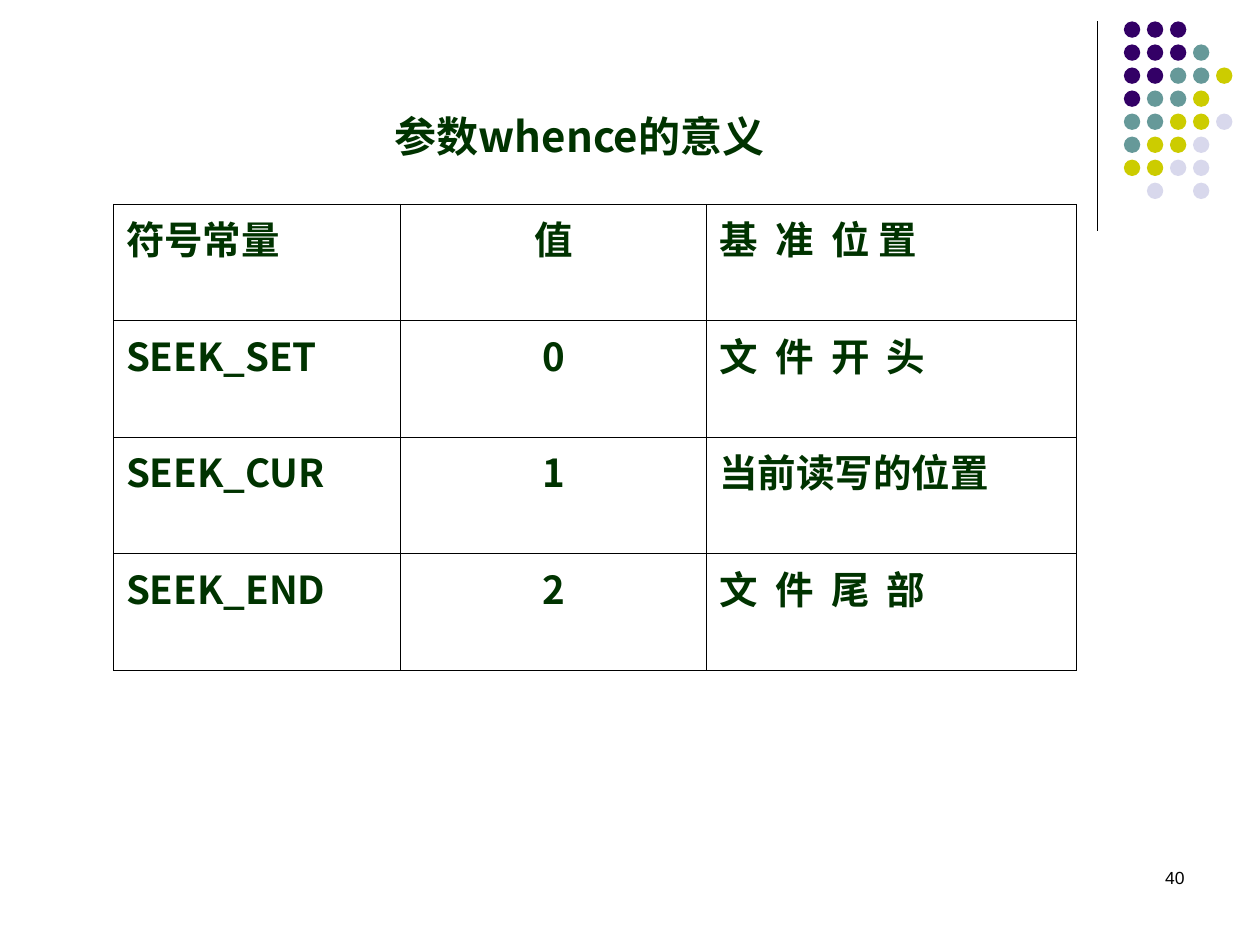
from dataclasses import dataclass

from lxml import etree
from pptx import Presentation
from pptx.dml.color import RGBColor
from pptx.enum.shapes import MSO_CONNECTOR, MSO_SHAPE
from pptx.enum.text import MSO_ANCHOR, PP_ALIGN
from pptx.oxml.ns import qn
from pptx.util import Inches, Pt

STRAIGHT = MSO_CONNECTOR.STRAIGHT
OVAL = MSO_SHAPE.OVAL
TOP, MIDDLE = MSO_ANCHOR.TOP, MSO_ANCHOR.MIDDLE
LEFT, CENTER, RIGHT = PP_ALIGN.LEFT, PP_ALIGN.CENTER, PP_ALIGN.RIGHT


@dataclass(frozen=True)
class Theme:
    ink: str = "003300"
    black: str = "000000"
    purple: str = "330066"
    teal: str = "669999"
    olive: str = "CCCC00"
    lilac: str = "D8D8EC"
    heading_font: str = "Noto Sans CJK SC"
    number_font: str = "Arial"
    title_size: int = 24
    cell_size: int = 22
    number_size: int = 10


THEME = Theme()
HEADING = {"name": THEME.heading_font, "bold": True}


def add_run(paragraph, text, color, size, style, spacing=0):
    """Append a run; spacing is the extra gap after each character, in points."""
    run = paragraph.add_run()
    run.text = text
    run.font.size = Pt(size)
    run.font.color.rgb = RGBColor.from_string(color)
    for attribute, value in style.items():
        setattr(run.font, attribute, value)
    properties = run.font._element
    etree.SubElement(properties, qn("a:ea"), typeface=style["name"])
    if spacing:
        properties.set("spc", str(int(spacing * 100)))


def add_label(slide, box, text, color, size, style, align, anchor):
    frame = slide.shapes.add_textbox(*map(Inches, box)).text_frame
    frame.word_wrap = True
    frame.vertical_anchor = anchor
    frame.paragraphs[0].alignment = align
    add_run(frame.paragraphs[0], text, color, size, style)


prs = Presentation()
prs.slide_width, prs.slide_height = Inches(10), Inches(7.5)
slide = prs.slides.add_slide(prs.slide_layouts[6])

# Corner ornament: a vertical rule and a grid of dots
rule = slide.shapes.add_connector(
    STRAIGHT, Inches(8.71), Inches(0.17), Inches(8.71), Inches(1.83))
rule.line.color.rgb = RGBColor.from_string(THEME.black)
rule.line.width = Pt(0.75)
etree.SubElement(rule._element.spPr, qn("a:effectLst"))

DOT_COLORS = {"P": THEME.purple, "T": THEME.teal, "O": THEME.olive, "L": THEME.lilac}
DOT_ROWS = ["PPP", "PPPT", "PPTTO", "PTTO", "TTOOL", "TOOL", "OOLL", ".L.L"]
dot_pitch = 1.28 / (len(DOT_ROWS) - 1)
for row, dots in enumerate(DOT_ROWS):
    for column, key in enumerate(dots):
        if key == ".":
            continue
        dot = slide.shapes.add_shape(
            OVAL, Inches(8.92 + column * dot_pitch), Inches(0.17 + row * dot_pitch),
            Inches(0.13), Inches(0.13))
        dot.shadow.inherit = False
        dot.fill.solid()
        dot.fill.fore_color.rgb = RGBColor.from_string(DOT_COLORS[key])
        dot.line.fill.background()

add_label(slide, (7.17, 6.83, 2.33, 0.5), "40", THEME.black, THEME.number_size,
          {"name": THEME.number_font}, RIGHT, TOP)

# Each cell is a list of (text, letter spacing in points)
WIDE = 2.5
ROWS = [
    [[("符号常量", 0)], [("值", 0)], [("基 准 ", WIDE), ("位 置", 0)]],
    [[("SEEK_SET", 0)], [("0", 0)], [("文 件 开 头", WIDE)]],
    [[("SEEK_CUR", 0)], [("1", 0)], [("当前读写的位置", 0)]],
    [[("SEEK_END", 0)], [("2", 0)], [("文 件 尾 部", WIDE)]],
]
COLUMNS = [(2.28, LEFT), (2.43, CENTER), (2.93, LEFT)]

whence_table = slide.shapes.add_table(
    len(ROWS), len(COLUMNS), Inches(0.9), Inches(1.62), Inches(7.64), Inches(3.7)).table
whence_table.first_row = False
whence_table.horz_banding = False
for column, (width, _) in zip(whence_table.columns, COLUMNS):
    column.width = Inches(width)

for r, row_parts in enumerate(ROWS):
    for c, parts in enumerate(row_parts):
        cell = whence_table.cell(r, c)
        paragraph = cell.text_frame.paragraphs[0]
        paragraph.alignment = COLUMNS[c][1]
        for text, spacing in parts:
            add_run(paragraph, text, THEME.ink, THEME.cell_size, HEADING, spacing)
        cell_properties = cell._tc.get_or_add_tcPr()
        for side in ("lnL", "lnR", "lnT", "lnB"):
            border = etree.SubElement(cell_properties, qn(f"a:{side}"), w=str(Pt(0.45)))
            border_fill = etree.SubElement(border, qn("a:solidFill"))
            etree.SubElement(border_fill, qn("a:srgbClr"), val=THEME.black)
        cell.fill.background()

add_label(slide, (1.53, 0.83, 6.14, 0.5), "参数whence的意义", THEME.ink,
          THEME.title_size, HEADING, CENTER, MIDDLE)

prs.save("out.pptx")
